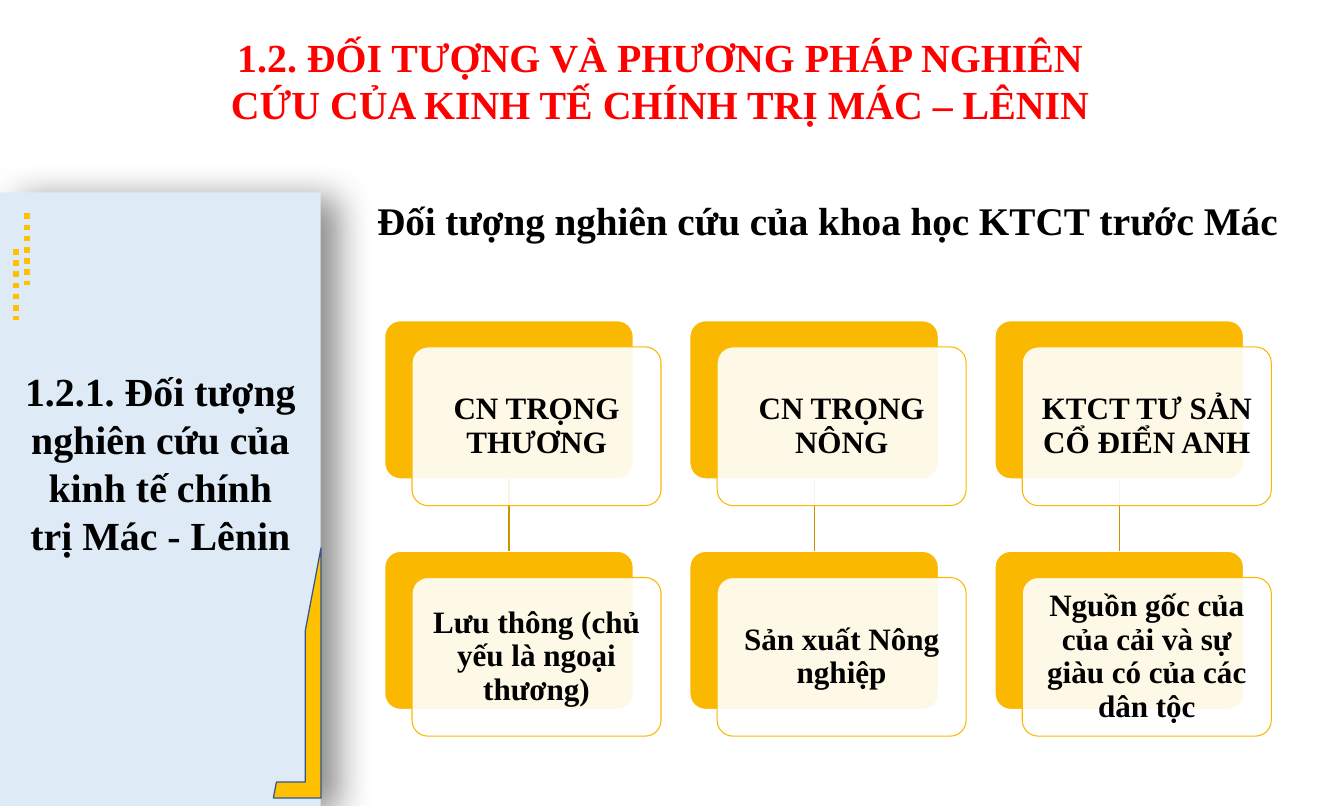
from dataclasses import dataclass

from lxml.etree import SubElement
from pptx import Presentation
from pptx.dml.color import RGBColor
from pptx.enum.dml import MSO_LINE
from pptx.enum.shapes import MSO_CONNECTOR, MSO_SHAPE
from pptx.enum.text import MSO_ANCHOR, PP_ALIGN
from pptx.oxml.ns import qn
from pptx.util import Cm, Pt


@dataclass(frozen=True)
class Theme:
    font: str = "Times New Roman"
    title: RGBColor = RGBColor(0xFF, 0x00, 0x00)
    text: RGBColor = RGBColor(0x00, 0x00, 0x00)
    white: RGBColor = RGBColor(0xFF, 0xFF, 0xFF)
    panel: RGBColor = RGBColor(0xDE, 0xEB, 0xF7)
    card: RGBColor = RGBColor(0xFA, 0xB9, 0x00)
    link: RGBColor = RGBColor(0xC8, 0x94, 0x00)
    accent: RGBColor = RGBColor(0xFF, 0xC0, 0x00)
    corner_line: RGBColor = RGBColor(0x32, 0x54, 0x91)
    heading_size: float = 32
    subheading_size: float = 31.5
    card_size: float = 25


THEME = Theme()

# School of thought, and what it studied
SCHOOLS = [
    ("CN TRỌNG THƯƠNG", "Lưu thông (chủ yếu là ngoại thương)"),
    ("CN TRỌNG NÔNG", "Sản xuất Nông nghiệp"),
    ("KTCT TƯ SẢN CỔ ĐIỂN ANH", "Nguồn gốc của của cải và sự giàu có của các dân tộc"),
]
GRID_LEFT, GRID_TOP = 10.9, 9.09
COLUMN_STEP, ROW_STEP = 8.65, 6.54
CARD_WIDTH, CARD_HEIGHT = 7.06, 4.5
FRONT_SHIFT_X, FRONT_SHIFT_Y = 0.78, 0.75


def write(frame, runs, color=THEME.text):
    """Fill a frame with one centred bold paragraph of (text, size) runs."""
    frame.word_wrap = True
    paragraph = frame.paragraphs[0]
    paragraph.alignment = PP_ALIGN.CENTER
    for text, size in runs:
        run = paragraph.add_run()
        run.text = text
        run.font.name = THEME.font
        run.font.size = Pt(size)
        run.font.bold = True
        run.font.color.rgb = color
    return paragraph


def add_text(slide, left, top, width, height, runs, color=THEME.text):
    box = slide.shapes.add_textbox(Cm(left), Cm(top), Cm(width), Cm(height))
    write(box.text_frame, runs, color)


def add_block(slide, preset, left, top, width, height, fill, line=None, weight=0):
    block = slide.shapes.add_shape(preset, Cm(left), Cm(top), Cm(width), Cm(height))
    block.shadow.inherit = False
    block.fill.solid()
    block.fill.fore_color.rgb = fill
    if line is None:
        block.line.fill.background()
    else:
        block.line.color.rgb = line
        block.line.width = Pt(weight)
    return block


def set_alpha(color_element, percent):
    SubElement(color_element, qn("a:alpha"), val=str(percent * 1000))


def add_line(slide, x1, y1, x2, y2, color, weight):
    line = slide.shapes.add_connector(
        MSO_CONNECTOR.STRAIGHT, Cm(x1), Cm(y1), Cm(x2), Cm(y2))
    line.line.color.rgb = color
    line.line.width = Pt(weight)
    SubElement(line._element.spPr, qn("a:effectLst"))
    return line


def add_panel(slide):
    panel = add_block(slide, MSO_SHAPE.RECTANGLE, 0, 5.46, 9.09, 17.4, THEME.panel)
    effects = panel._element.spPr.find(qn("a:effectLst"))
    shadow = SubElement(
        effects, qn("a:outerShdw"), blurRad=str(Pt(30)), dist=str(Pt(15)),
        dir=str(18 * 60000), algn="tl", rotWithShape="0")
    set_alpha(SubElement(shadow, qn("a:srgbClr"), val="000000"), 45)


def add_card(slide, left, top, fill, line, weight):
    card = add_block(slide, MSO_SHAPE.ROUNDED_RECTANGLE, left, top,
                     CARD_WIDTH, CARD_HEIGHT, fill, line, weight)
    card.adjustments[0] = 0.1
    return card


def add_front_card(slide, left, top, text):
    card = add_card(slide, left + FRONT_SHIFT_X, top + FRONT_SHIFT_Y,
                    THEME.white, THEME.card, 0.85)
    set_alpha(card._element.spPr.find(qn("a:solidFill"))[0], 90)
    frame = card.text_frame
    frame.margin_left = frame.margin_right = Cm(0.25)
    frame.margin_top = frame.margin_bottom = Cm(0.25)
    frame.vertical_anchor = MSO_ANCHOR.MIDDLE
    write(frame, [(text, THEME.card_size)]).line_spacing = 0.9


def add_school(slide, column, texts):
    """Draw one column: a school card linked to its subject card."""
    left = GRID_LEFT + column * COLUMN_STEP
    tops = [GRID_TOP + row * ROW_STEP for row in range(len(texts))]
    school, subject = [
        add_card(slide, left, top, THEME.card, THEME.white, 1.35) for top in tops]
    middle = left + CARD_WIDTH / 2
    link = add_line(slide, middle, tops[0] + CARD_HEIGHT, middle, tops[1],
                    THEME.link, 0.85)
    link.begin_connect(school, 2)
    link.end_connect(subject, 0)
    for top, text in zip(tops, texts):
        add_front_card(slide, left, top, text)


def add_panel_ornaments(slide):
    corner = add_block(slide, MSO_SHAPE.HALF_FRAME, 7.75, 15.54, 1.35, 7.09,
                       THEME.accent, THEME.corner_line, 1)
    corner.rotation = 180
    for x, top in ((0.46, 7.06), (0.76, 6.05)):
        dots = add_line(slide, x, top, x, top + 2.03, THEME.accent, 4.5)
        dots.line.dash_style = MSO_LINE.ROUND_DOT


def main():
    deck = Presentation()
    deck.slide_width, deck.slide_height = Cm(38.1), Cm(22.86)
    slide = deck.slides.add_slide(deck.slide_layouts[6])

    big, normal = THEME.heading_size, THEME.subheading_size
    add_text(slide, 5.18, 0.79, 27.08, 2.36, [(
        "1.2. ĐỐI TƯỢNG VÀ PHƯƠNG PHÁP NGHIÊN CỨU CỦA KINH TẾ CHÍNH TRỊ MÁC – LÊNIN",
        big)], THEME.title)
    add_panel(slide)
    add_text(slide, 0.46, 10.29, 8.18, 7.09, [(
        "1.2.1. Đối tượng nghiên cứu của kinh tế chính trị Mác - Lênin", big)])
    add_text(slide, 10.21, 5.44, 26.49, 1.63, [
        ("Đối tượng nghiên cứu của khoa học KTCT ", normal),
        ("trước", big),
        (" Mác", normal)])
    for column, texts in enumerate(SCHOOLS):
        add_school(slide, column, texts)
    add_panel_ornaments(slide)

    deck.save("out.pptx")


if __name__ == "__main__":
    main()
